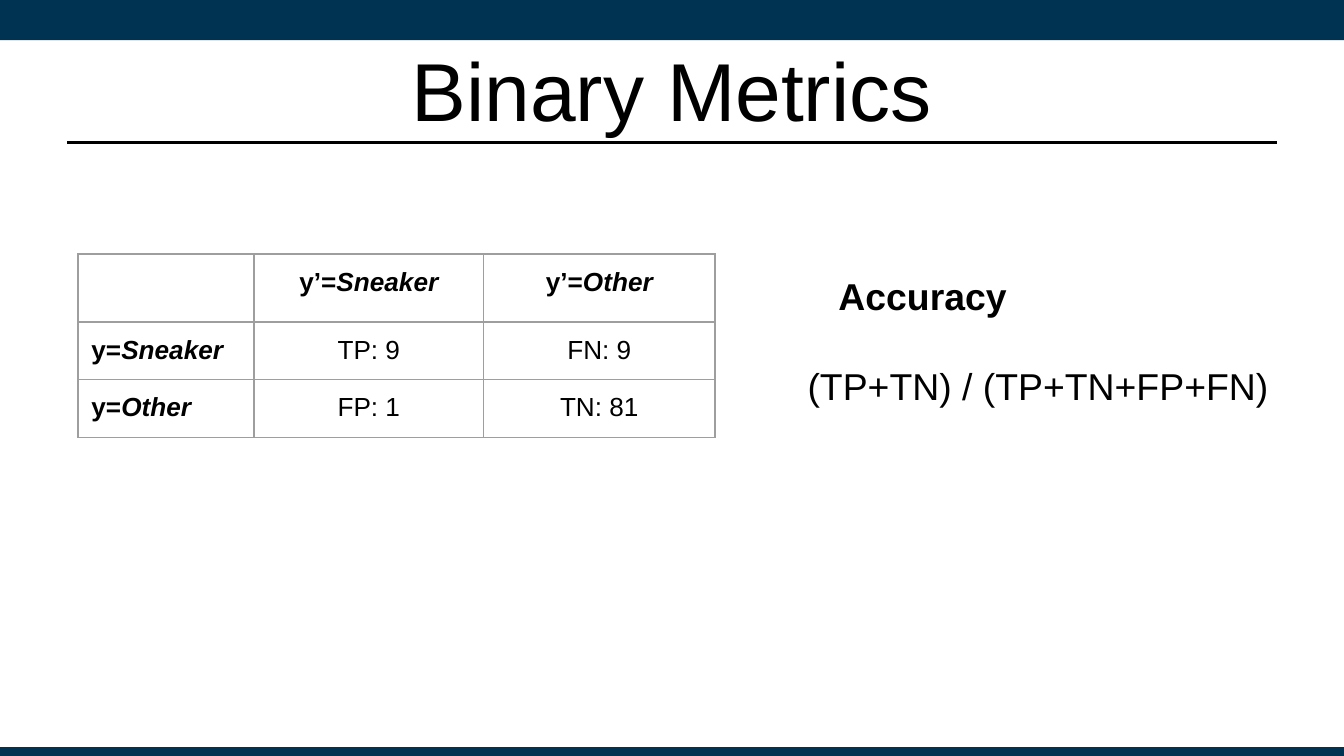
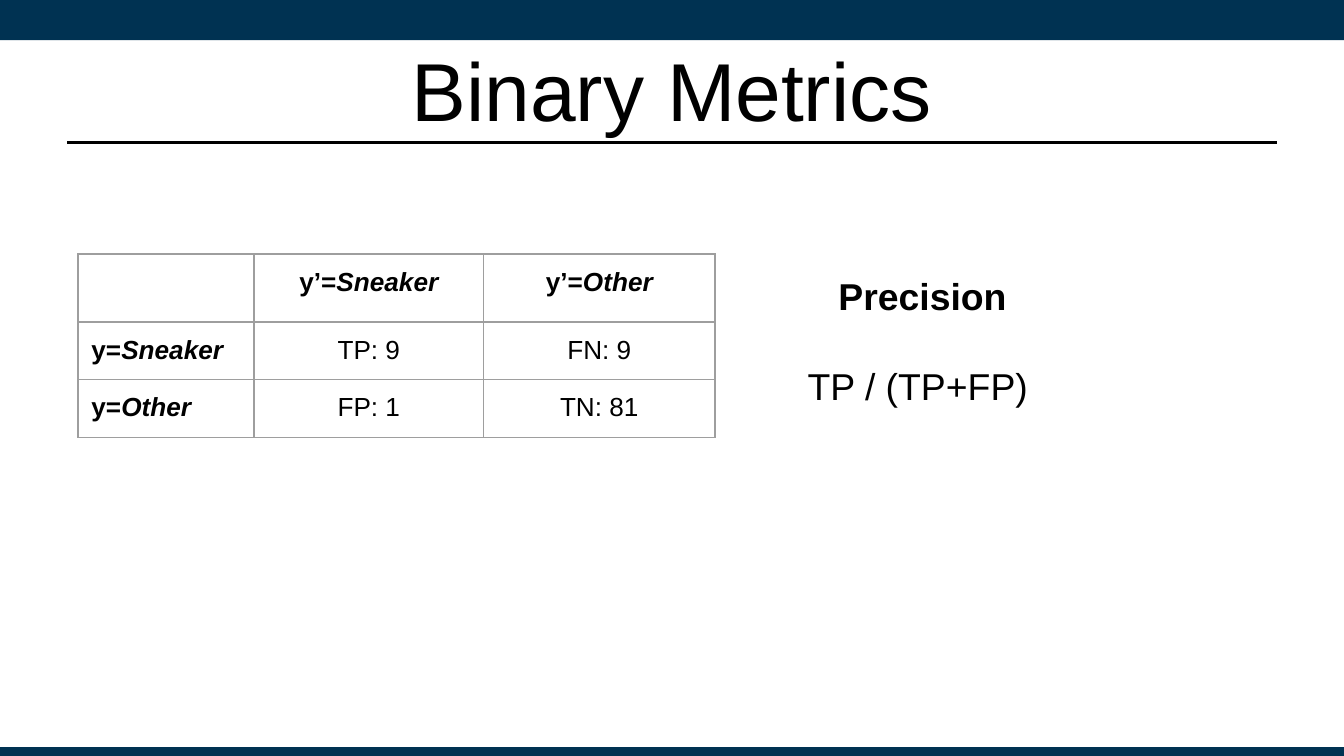
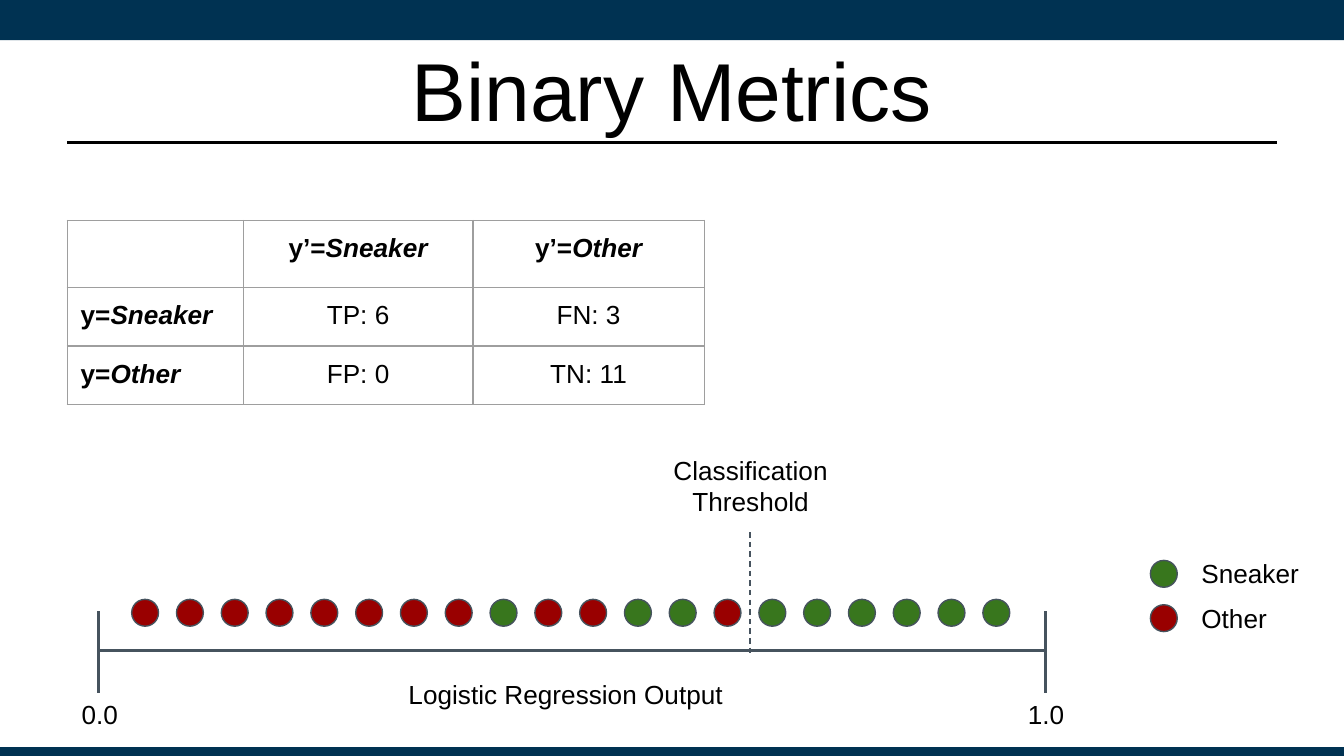
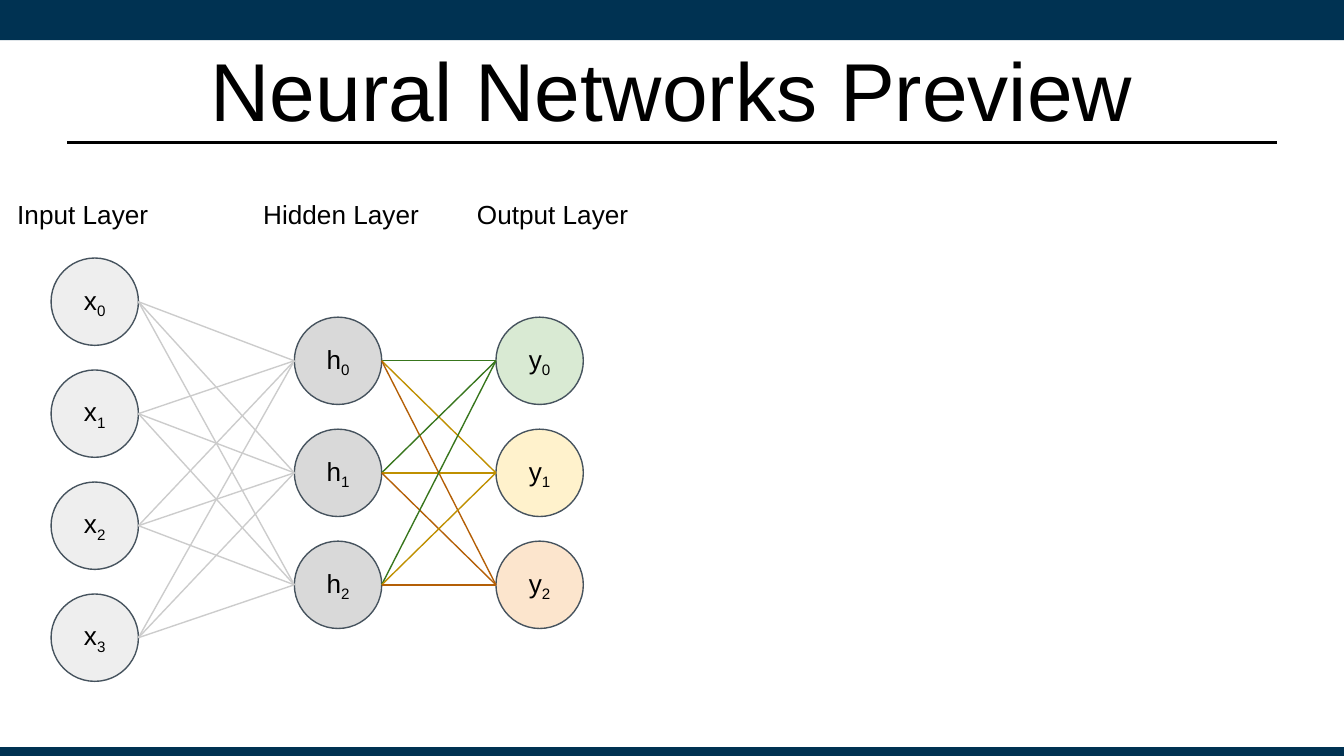
from collections import namedtuple

from lxml import etree
from pptx import Presentation, util as u
from pptx.dml.color import RGBColor
from pptx.enum import dml, shapes, text
from pptx.oxml import ns

# Palette
NAVY = RGBColor(0x00, 0x32, 0x52)
BLACK = RGBColor(0x00, 0x00, 0x00)
SLATE = RGBColor(0x46, 0x53, 0x5E)
GRID = RGBColor(0x9E, 0x9E, 0x9E)
GREEN = RGBColor(0x38, 0x76, 0x1D)
RED = RGBColor(0x99, 0x00, 0x00)
GOLD = RGBColor(0xBF, 0x90, 0x00)
RUST = RGBColor(0xB4, 0x5F, 0x06)
SILVER = RGBColor(0xCC, 0xCC, 0xCC)
INPUT_GREY = RGBColor(0xEE, 0xEE, 0xEE)
HIDDEN_GREY = RGBColor(0xD9, 0xD9, 0xD9)
PALE_GREEN = RGBColor(0xD9, 0xEA, 0xD3)
PALE_YELLOW = RGBColor(0xFF, 0xF2, 0xCC)
PALE_ORANGE = RGBColor(0xFC, 0xE5, 0xCD)

# Text formats
BODY = {"name": "Arial", "size": u.Pt(14), "bold": False, "italic": False}
TITLE = {**BODY, "size": u.Pt(44)}
FORMULA = {**BODY, "size": u.Pt(20)}
METRIC = {**FORMULA, "bold": True}
HEAD = {**BODY, "bold": True}
CLASS_NAME = {**HEAD, "italic": True}

LEFT, CENTER = text.PP_ALIGN.LEFT, text.PP_ALIGN.CENTER
TITLE_ONLY = 5

Box = namedtuple("Box", "left top width height")


def place(box):
    return [u.Inches(length) for length in box]


# Shared drawing helpers
def write(frame, spans, align=LEFT, inset=(0.1, 0.1)):
    """Fill a text frame with one paragraph of (words, format) spans."""
    across, down = (u.Inches(margin) for margin in inset)
    frame.margin_left = frame.margin_right = across
    frame.margin_top = frame.margin_bottom = down
    frame.word_wrap = True
    para = frame.paragraphs[0]
    para.alignment = align
    for words, style in spans:
        span = para.add_run()
        span.text = words
        span.font.color.rgb = BLACK
        for key, value in style.items():
            setattr(span.font, key, value)
    return para


def add_label(page, box, words, style=BODY, align=LEFT):
    label = page.shapes.add_textbox(*place(box))
    write(label.text_frame, [(words, style)], align)
    label.text_frame.auto_size = text.MSO_AUTO_SIZE.SHAPE_TO_FIT_TEXT


def add_filled(page, kind, box, fill, outline=None):
    shape = page.shapes.add_shape(kind, *place(box))
    shape.shadow.inherit = False
    shape.fill.solid()
    shape.fill.fore_color.rgb = fill
    if outline is None:
        shape.line.fill.background()
    else:
        shape.line.color.rgb = outline
        shape.line.width = u.Pt(0.75)
    return shape


def add_circle(page, left, top, size, fill):
    return add_filled(page, shapes.MSO_SHAPE.OVAL, Box(left, top, size, size), fill, SLATE)


def add_line(page, start, end, color=SLATE, width=0.75, dash=None):
    line = page.shapes.add_connector(
        shapes.MSO_CONNECTOR.STRAIGHT, *place(start + end))
    line.line.color.rgb = color
    line.line.width = u.Pt(width)
    line.line.dash_style = dash
    etree.SubElement(line.element.spPr, ns.qn("a:effectLst"))
    return line


def decorate_layout(layout, page):
    """Draw the bands and title rule, then hand them to the layout."""
    rectangle = shapes.MSO_SHAPE.RECTANGLE
    parts = [
        add_filled(page, rectangle, Box(0, 0, 10, 0.3), NAVY),
        add_filled(page, rectangle, Box(0, 5.56, 10, 0.08), NAVY),
        add_line(page, (0.5, 1.06), (9.5, 1.06), BLACK, 1.25),
    ]
    for part in parts:
        layout.shapes.element.append(part.element)


def add_page(deck, heading):
    page = deck.slides.add_slide(deck.slide_layouts[TITLE_ONLY])
    title = page.shapes.title
    title.left, title.top, title.width, title.height = place(Box(0.5, 0.19, 9, 0.94))
    write(title.text_frame, [(heading, TITLE)], CENTER, (0.1, 0.05))
    title.text_frame.vertical_anchor = text.MSO_ANCHOR.MIDDLE
    title.text_frame.auto_size = text.MSO_AUTO_SIZE.NONE
    return page


# Confusion matrix
def add_borders(cell):
    edges = cell._tc.get_or_add_tcPr()
    for index, side in enumerate(("lnL", "lnR", "lnT", "lnB")):
        edge = etree.Element(ns.qn(f"a:{side}"), w=str(u.Pt(0.75)))
        fill = etree.SubElement(edge, ns.qn("a:solidFill"))
        etree.SubElement(fill, ns.qn("a:srgbClr"), val=str(GRID))
        edges.insert(index, edge)


def add_confusion_table(page, left, top, counts):
    widths, row_height = (1.31, 1.71, 1.72), 0.43
    box = Box(left, top, sum(widths), 3 * row_height)
    table = page.shapes.add_table(3, 3, *place(box)).table
    table.first_row = table.horz_banding = False
    for column, width in zip(table.columns, widths):
        column.width = u.Inches(width)

    classes = ("Sneaker", "Other")
    rows = [[[]] + [[("y’=", HEAD), (name, CLASS_NAME)] for name in classes]]
    for name, outcomes in zip(classes, (("TP", "FN"), ("FP", "TN"))):
        values = [[(f"{key}: {counts[key]}", BODY)] for key in outcomes]
        rows.append([[("y=", HEAD), (name, CLASS_NAME)]] + values)

    for r, row in enumerate(rows):
        for c, spans in enumerate(row):
            cell = table.cell(r, c)
            cell.margin_left = cell.margin_right = u.Inches(0.1)
            cell.margin_top = cell.margin_bottom = u.Inches(0.1)
            cell.fill.background()
            write(cell.text_frame, spans, CENTER if c else LEFT)
            add_borders(cell)


def add_metric(page, box, name, formula):
    add_label(page, Box(box.left + 0.23, box.top, 2.83, 0.54), name, METRIC)
    add_label(page, Box(box.left, box.top + 0.67, box.width, 0.54), formula, FORMULA)


# Classifier output axis
def add_output_axis(page, box, samples):
    left, top, right = box.left, box.top, box.left + box.width
    axis = top + 0.38
    for index, sample in enumerate(samples):
        add_circle(page, left + 0.25 + index / 3, top, 0.2, sample)
    add_line(page, (left, axis), (right, axis), width=1.5)
    for end, value, offset in ((left, "0.0", -0.22), (right, "1.0", -0.23)):
        add_line(page, (end, top + 0.09), (end, top + 0.7), width=1.5)
        add_label(page, Box(end + offset, top + 0.64, 0.53, 0.44), value)
    add_label(page, Box(left + 2.12, top + 0.49, 2.72, 0.44),
              "Logistic Regression Output", align=CENTER)

    # Threshold marker
    threshold = left + 4.85
    add_line(page, (threshold, top - 0.5), (threshold, top + 0.42),
             dash=dml.MSO_LINE.DASH)
    add_label(page, Box(threshold - 0.72, top - 1.18, 1.45, 0.67),
              "Classification Threshold", align=CENTER)


def add_legend(page, box, entries):
    for index, (name, color) in enumerate(entries):
        top = box.top + index * box.height / len(entries)
        add_circle(page, box.left, top + 0.12, 0.2, color)
        add_label(page, Box(box.left + 0.28, top, 1.01, 0.44), name)


# Neural network
def add_layer(page, left, top, letter, fills, size, pitch):
    """Stack the layer's nodes and return their vertical centres."""
    for index, fill in enumerate(fills):
        node = add_circle(page, left, top + index * pitch, size, fill)
        node.text_frame.vertical_anchor = text.MSO_ANCHOR.MIDDLE
        para = write(node.text_frame, [(letter, BODY), (str(index), BODY)], CENTER)
        para.runs[1].font._element.set("baseline", "-25000")
    return [top + index * pitch + size / 2 for index in range(len(fills))]


def add_edges(page, start_x, starts, end_x, ends, colors):
    for start in starts:
        for end, color in zip(ends, colors):
            add_line(page, (start_x, start), (end_x, end), color)


def add_network(page, box):
    size, pitch = 0.65, 2.5 / 3
    layers = [
        # label, label offset, node offset, drop, letter, fills, incoming edges
        ("Input Layer", 0, 0.35, 0.54, "x", [INPUT_GREY] * 4, []),
        ("Hidden Layer", 1.83, 2.16, 0.98, "h", [HIDDEN_GREY] * 3, [SILVER] * 3),
        ("Output Layer", 3.42, 3.66, 0.98, "y",
         [PALE_GREEN, PALE_YELLOW, PALE_ORANGE], [GREEN, GOLD, RUST]),
    ]
    previous_right, previous = 0, []
    for name, label_x, node_x, drop, letter, fills, edge_colors in layers:
        add_label(page, Box(box.left + label_x, box.top, 1.45, 0.44), name)
        left = box.left + node_x
        centres = add_layer(page, left, box.top + drop, letter, fills, size, pitch)
        add_edges(page, previous_right, previous, left, centres, edge_colors)
        previous_right, previous = left + size, centres


# Slide types
def metric_page(deck, name, formula):
    page = add_page(deck, "Binary Metrics")
    add_confusion_table(page, 0.58, 1.89, {"TP": 9, "FN": 9, "FP": 1, "TN": 81})
    add_metric(page, Box(5.91, 1.93, 3.71, 1.21), name, formula)
    return page


def threshold_page(deck):
    page = add_page(deck, "Binary Metrics")
    colors = {"S": GREEN, "O": RED}
    samples = [colors[kind] for kind in "OOOOOOOOSOOSSOSSSSSS"]
    add_output_axis(page, Box(0.73, 4.46, 7.05, 1.08), samples)
    add_legend(page, Box(8.56, 4.05, 1.29, 0.66), [("Sneaker", GREEN), ("Other", RED)])
    add_confusion_table(page, 0.5, 1.64, {"TP": 6, "FN": 3, "FP": 0, "TN": 11})


def network_page(deck):
    page = add_page(deck, "Neural Networks Preview")
    add_network(page, Box(0.03, 1.38, 4.87, 3.69))


def main():
    deck = Presentation()
    # Widescreen, 16:9
    deck.slide_width, deck.slide_height = u.Inches(10), u.Inches(10 * 9 / 16)
    first = metric_page(deck, "Accuracy", "(TP+TN) / (TP+TN+FP+FN)")
    decorate_layout(deck.slide_layouts[TITLE_ONLY], first)
    metric_page(deck, "Precision", "TP / (TP+FP)")
    threshold_page(deck)
    network_page(deck)
    deck.save("out.pptx")


if __name__ == "__main__":
    main()
